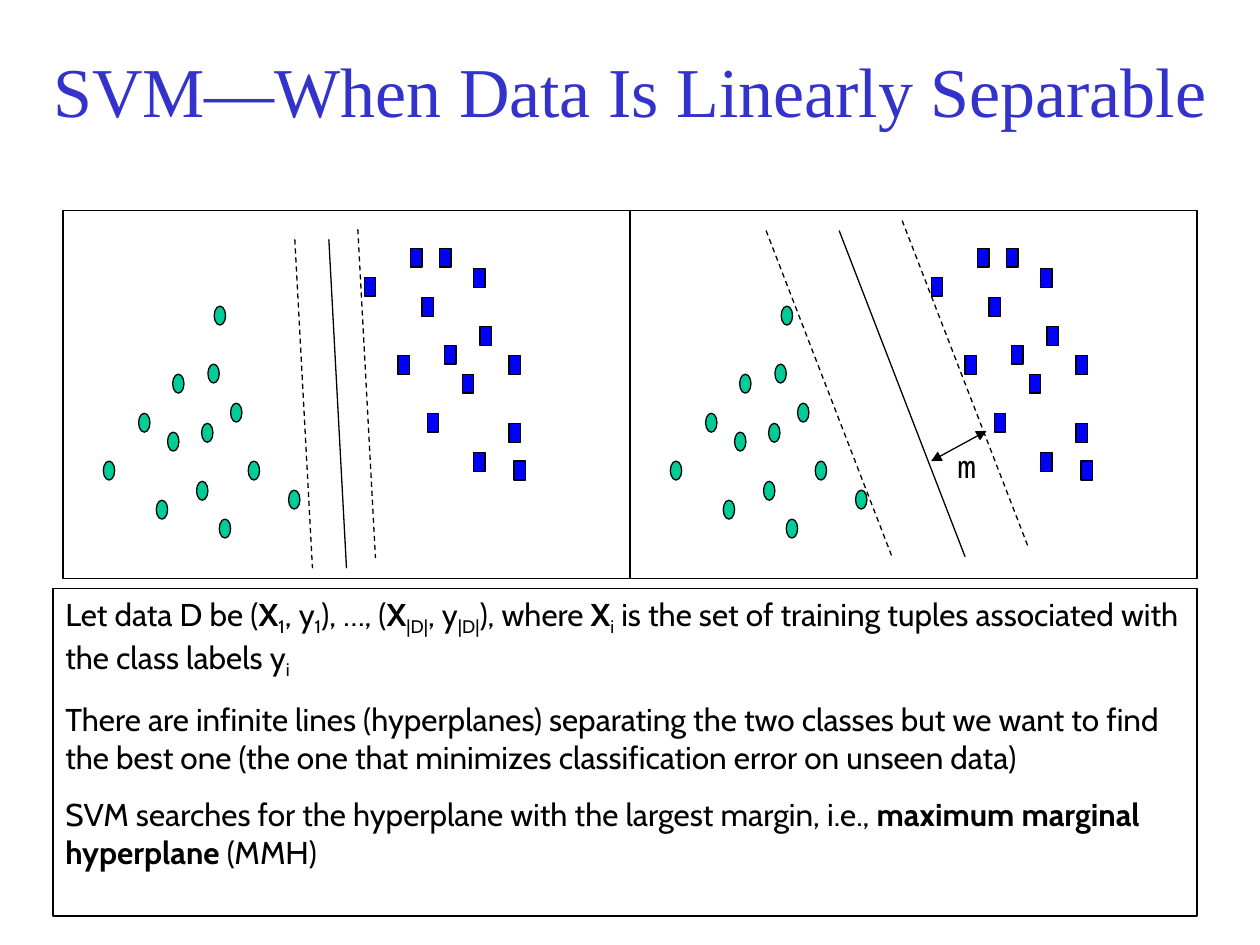
import dataclasses

import lxml.etree
import pptx
import pptx.dml.color
import pptx.enum.dml
import pptx.enum.shapes
import pptx.enum.text
import pptx.oxml.ns
import pptx.util

PX = 9144
SHAPE = pptx.enum.shapes.MSO_SHAPE
LEFT = pptx.enum.text.PP_ALIGN.LEFT


@dataclasses.dataclass(frozen=True)
class Theme:
    """Colours, fonts and type sizes of the slide."""

    title: str = "3333CC"
    ink: str = "000000"
    circle: str = "00CC99"
    square: str = "0000FF"
    title_font: str = "Times New Roman"
    body_font: str = "Cabin"
    mono_font: str = "Noto Sans Mono"
    title_size: float = 40
    body_size: float = 18
    gap: float = 11.2
    stroke: float = 0.75


THEME = Theme()

CIRCLES = [
    (74, 230), (83, 176), (32, 199), (60, 161), (106, 215), (87, 130), (110, 169),
    (115, 122), (133, 153), (147, 199), (124, 245), (179, 222), (120, 76),
]
SQUARES = [
    (266, 115), (239, 53), (276, 30), (289, 161), (285, 69), (303, 107), (299, 30),
    (326, 46), (317, 130), (331, 92), (326, 192), (354, 115), (354, 169), (358, 199),
]
MARKERS = [(SHAPE.OVAL, THEME.circle, CIRCLES), (SHAPE.RECTANGLE, THEME.square, SQUARES)]

PARAGRAPHS = [
    [
        ("Let data D be (", ""), ("X", "bold"), ("1", "sub"), (", y", ""), ("1", "sub"),
        ("), …, (", ""), ("X", "bold"), ("|D|", "sub"), (", y", ""), ("|D|", "sub"),
        ("), where ", ""), ("X", "bold"), ("i", "sub"),
        (" is the set of training tuples associated with the class labels y", ""),
        ("i", "sub"),
    ],
    [(
        "There are infinite lines (hyperplanes) separating the two classes but we want "
        "to find the best one (the one that minimizes classification error on unseen data)",
        "",
    )],
    [
        ("SVM searches for the hyperplane with the largest margin, i.e., ", ""),
        ("maximum marginal hyperplane", "bold"), (" (MMH)", ""),
    ],
]


def emu(*lengths):
    """Turn px lengths into EMU."""
    return [pptx.util.Emu(n * PX) for n in lengths]


def rgb(value):
    """Turn a hex string into a colour."""
    return pptx.dml.color.RGBColor.from_string(value)


def style_line(line):
    """Give a line the common stroke."""
    line.color.rgb = rgb(THEME.ink)
    line.width = pptx.util.Pt(THEME.stroke)


def add_box(shapes, kind, box, fill=None):
    """Add an outlined preset shape, hollow unless a fill is given."""
    sp = shapes.add_shape(kind, *emu(*box))
    sp.shadow.inherit = False
    style_line(sp.line)
    if fill:
        sp.fill.solid()
        sp.fill.fore_color.rgb = rgb(fill)
    else:
        sp.fill.background()
    return sp


def add_line(shapes, start, end, dashed=False, arrows=False):
    """Add a straight line, optionally dashed or with arrows at both ends."""
    cxn = shapes.add_connector(
        pptx.enum.shapes.MSO_CONNECTOR.STRAIGHT, *emu(*start, *end)
    )
    style_line(cxn.line)
    if dashed:
        cxn.line.dash_style = pptx.enum.dml.MSO_LINE.DASH
    if arrows:
        ln = cxn.line._get_or_add_ln()
        for tag in ("a:headEnd", "a:tailEnd"):
            lxml.etree.SubElement(ln, pptx.oxml.ns.qn(tag), type="triangle")
    lxml.etree.SubElement(cxn._element.spPr, pptx.oxml.ns.qn("a:effectLst"))


def write(sp, paragraphs, font, size, color, align=LEFT, anchor="TOP"):
    """Write paragraphs of (text, style) runs into a shape."""
    tf = sp.text_frame
    tf.word_wrap = True
    tf.vertical_anchor = pptx.enum.text.MSO_ANCHOR[anchor]
    for i, runs in enumerate(paragraphs):
        p = tf.add_paragraph() if i else tf.paragraphs[0]
        p.alignment = align
        if i:
            p.space_before = pptx.util.Pt(THEME.gap)
        p.font.name = font
        p.font.size = pptx.util.Pt(size)
        p.font.color.rgb = rgb(color)
        for text, style in runs:
            r = p.add_run()
            r.text = text
            if style == "bold":
                r.font.bold = True
            elif style == "sub":
                r._r.get_or_add_rPr().set("baseline", "-25000")


def add_title(s, box):
    """Add the centred slide title."""
    sp = s.shapes.add_textbox(*emu(*box))
    write(
        sp, [[("SVM—When Data Is Linearly Separable", "")]], THEME.title_font,
        THEME.title_size, THEME.title, pptx.enum.text.PP_ALIGN.CENTER, "BOTTOM",
    )


def add_panel(s, box, margins, plane, run):
    """Add a framed scatter of two classes with a plane between its margins."""
    x, y = box[:2]
    shapes = s.shapes.add_group_shape().shapes
    for kind, fill, points in MARKERS:
        for dx, dy in points:
            add_box(shapes, kind, (x + dx, y + dy, 9, 15), fill)
    add_box(shapes, SHAPE.RECTANGLE, box)
    for dx, dy in [*margins, plane]:
        start = (x + dx, y + dy)
        end = (start[0] + run[0], start[1] + run[1])
        add_line(shapes, start, end, dashed=(dx, dy) != plane)


def add_margin_label(s, box):
    """Mark the margin width m inside a panel."""
    x, y = box[:2]
    add_line(s.shapes, (x + 239, y + 199), (x + 283, y + 175), arrows=True)
    sp = s.shapes.add_textbox(*emu(x + 250, y + 183, 58, 40))
    write(sp, [[("m", "")]], THEME.mono_font, THEME.body_size, THEME.ink)


def add_explanation(s, box):
    """Add the framed explanation."""
    sp = add_box(s.shapes, SHAPE.RECTANGLE, box)
    write(sp, PARAGRAPHS, THEME.body_font, THEME.body_size, THEME.ink)


def main():
    """Build and save the slide."""
    prs = pptx.Presentation()
    prs.slide_width, prs.slide_height = emu(1000, 750)
    s = prs.slides.add_slide(prs.slide_layouts[6])
    narrow, wide = [(left, 167, 450, 292) for left in (50, 500)]
    add_title(s, (0, 42, 1000, 67))
    add_panel(s, narrow, [(234, 15), (184, 23)], (211, 23), (14, 261))
    add_panel(s, wide, [(108, 16), (216, 8)], (166, 16), (100, 259))
    add_margin_label(s, wide)
    add_explanation(s, (42, 467, 908, 260))
    prs.save("out.pptx")


if __name__ == "__main__":
    main()
